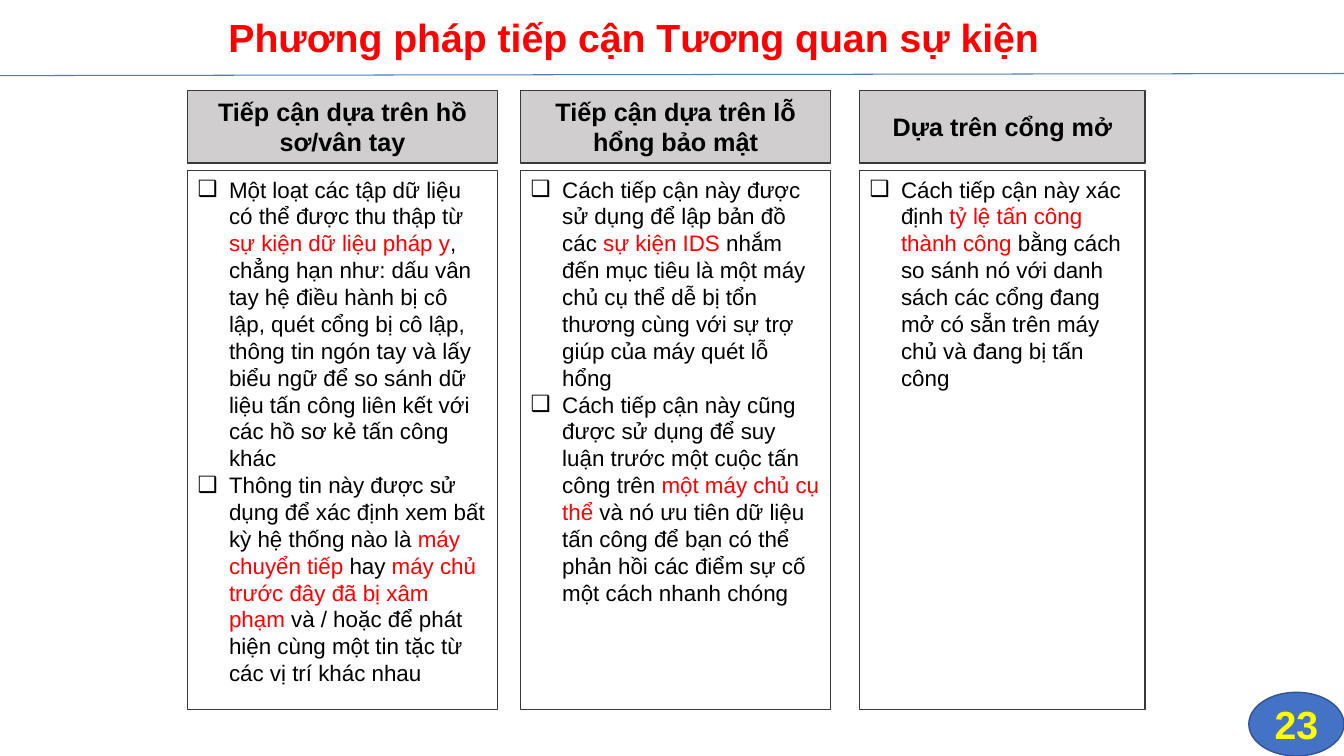
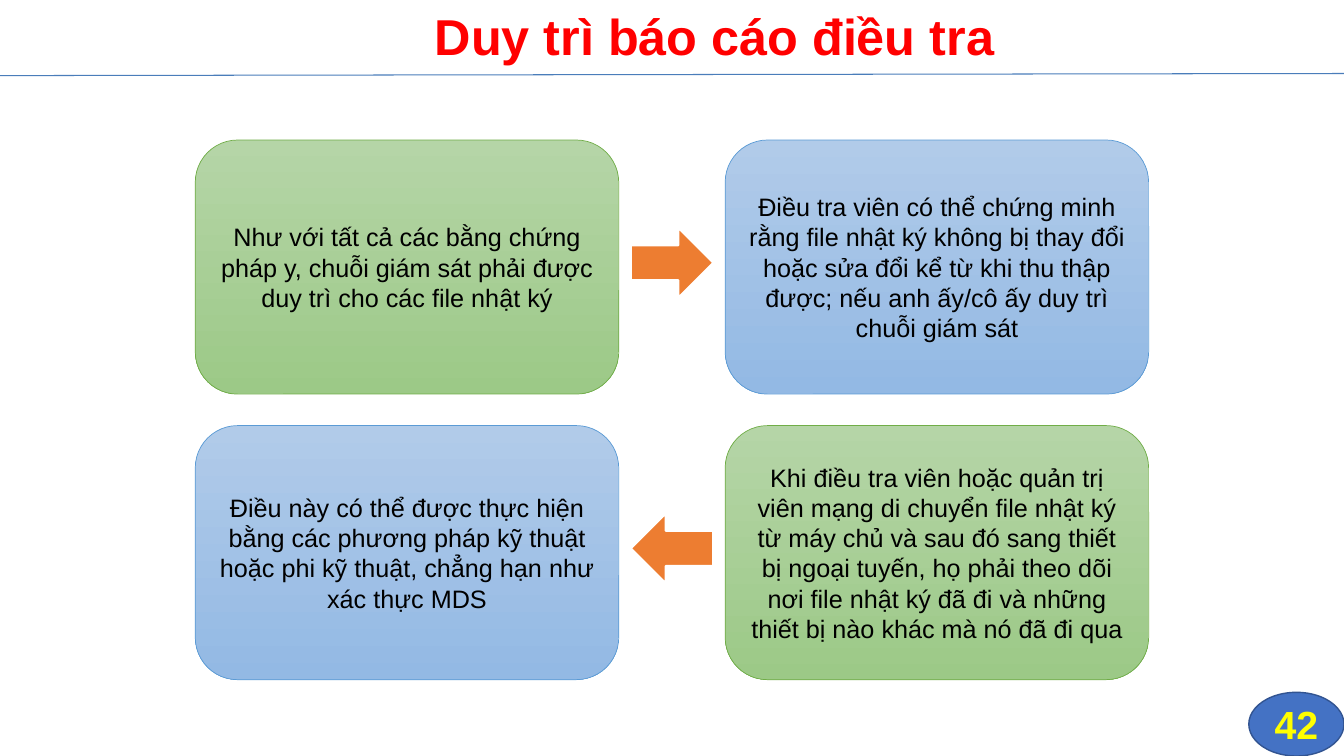
from lxml import etree
from pptx import Presentation
from pptx.dml.color import RGBColor
from pptx.enum import shapes, text
from pptx.oxml.ns import qn
from pptx.util import Pt

FONT = "Arial"
WIDTH, HEIGHT = 960, 540
COLORS = {
    "accent": "FF0000", "ink": "000000", "paper": "FFFFFF",
    "header": "D0CECE", "frame": "3B3838", "rule": "4A7DBA",
    "badge": "4472C4", "badge_edge": "325491", "badge_text": "FFFF00",
    "arrow": "ED7D31",
    "green_top": "B5D5A7", "green_bottom": "9CC987", "green_edge": "70AD47",
    "blue_top": "B1CBE9", "blue_bottom": "93B9E4", "blue_edge": "5B9BD5",
}
SHAPE = shapes.MSO_SHAPE
ALIGN = text.PP_ALIGN
ANCHOR = text.MSO_ANCHOR


def color(name):
    return RGBColor.from_string(COLORS[name])


def add_run(paragraph, words, size, tint="ink", bold=False):
    run = paragraph.add_run()
    run.text = words
    run.font.name, run.font.size, run.font.bold = FONT, Pt(size), bold
    run.font.color.rgb = color(tint)


def add_box(slide, kind, box, fill, edge, weight=1):
    """Flat shape; a pair of fill names makes a top-to-bottom gradient."""
    shape = slide.shapes.add_shape(kind, *map(Pt, box))
    shape.shadow.inherit = False
    if isinstance(fill, tuple):
        shape.fill.gradient()
        shape.fill.gradient_angle = 270
        for stop, position, tint in zip(shape.fill.gradient_stops, (0, 1), fill):
            stop.position, stop.color.rgb = position, color(tint)
    else:
        shape.fill.solid()
        shape.fill.fore_color.rgb = color(fill)
    shape.line.color.rgb = color(edge)
    shape.line.width = Pt(weight)
    return shape


def add_label(shape, words, size, tint="ink", bold=False):
    frame = shape.text_frame
    frame.word_wrap = True
    frame.vertical_anchor = ANCHOR.MIDDLE
    frame.paragraphs[0].alignment = ALIGN.CENTER
    add_run(frame.paragraphs[0], words, size, tint, bold)


def add_bullet(paragraph, indent=22.5):
    props = paragraph._p.get_or_add_pPr()
    props.set("marL", str(Pt(indent)))
    props.set("indent", str(-Pt(indent)))
    etree.SubElement(props, qn("a:buFont")).set("typeface", FONT)
    etree.SubElement(props, qn("a:buChar")).set("char", "❑")


# Title, rule and page badge shared by the slides
def add_page(deck, heading, size, left, align, number):
    slide = deck.slides.add_slide(deck.slide_layouts[5])
    title = slide.shapes.title
    title.left, title.top, title.width, title.height = map(Pt, (left, 0.5, 648, 55.5))
    frame = title.text_frame
    frame.auto_size = text.MSO_AUTO_SIZE.NONE
    frame.word_wrap = True
    frame.vertical_anchor = ANCHOR.MIDDLE
    frame.paragraphs[0].alignment = align
    frame.paragraphs[0].line_spacing = 0.9
    add_run(frame.paragraphs[0], heading, size, "accent", True)

    rule = slide.shapes.add_connector(
        shapes.MSO_CONNECTOR.STRAIGHT, 0, Pt(54), Pt(WIDTH), Pt(52.5))
    rule.line.color.rgb = color("rule")
    rule.line.width = Pt(0.75)
    etree.SubElement(rule._element.spPr, qn("a:effectLst"))

    badge = add_box(slide, SHAPE.OVAL, (WIDTH - 68, HEIGHT - 45.5, 68, 45.5),
                    "badge", "badge_edge")
    add_label(badge, number, 28, "badge_text", True)
    return slide


# Column: grey header above a framed bullet list
def add_column(slide, box, heading, bullets):
    left, top, width, height = box
    header_height, gap = 52, 5.5
    header = add_box(slide, SHAPE.RECTANGLE, (left, top, width, header_height),
                     "header", "frame")
    add_label(header, heading, 18, bold=True)

    list_top = header_height + gap
    panel = add_box(slide, SHAPE.RECTANGLE,
                    (left, top + list_top, width, height - list_top),
                    "paper", "frame")
    frame = panel.text_frame
    frame.word_wrap = True
    frame.vertical_anchor = ANCHOR.TOP
    for index, pieces in enumerate(bullets):
        paragraph = frame.add_paragraph() if index else frame.paragraphs[0]
        paragraph.alignment = ALIGN.LEFT
        add_bullet(paragraph)
        # Pieces alternate between plain and highlighted words
        for order, words in enumerate(pieces):
            add_run(paragraph, words, 16, "accent" if order % 2 else "ink")


# Cycle: two rows of cards, the top arrow forward, the bottom one back
def add_cycle(slide, box, rows):
    left, top, width, height = box
    card_width, card_height = 302.5, 181.5
    arrow_width, arrow_height = 59, 50
    for row, cards in enumerate(rows):
        y = top + row * (height - card_height)
        for col, words in enumerate(cards):
            hue = "blue" if (row + col) % 2 else "green"
            card = add_box(
                slide, SHAPE.ROUNDED_RECTANGLE,
                (left + col * (width - card_width), y, card_width, card_height),
                (hue + "_top", hue + "_bottom"), hue + "_edge", 0.5)
            add_label(card, words, 18)
        add_box(slide, SHAPE.LEFT_ARROW if row else SHAPE.RIGHT_ARROW,
                (left + (width - arrow_width) / 2, y + (card_height - arrow_height) / 2 - 3,
                 arrow_width, arrow_height),
                "arrow", "paper", 1.5)


COLUMNS = [
    ((134, 64.5, 221.25, 442.5), "Tiếp cận dựa trên hồ sơ/vân tay", [
        ("Một loạt các tập dữ liệu có thể được thu thập từ ",
         "sự kiện dữ liệu pháp y",
         ", chẳng hạn như: dấu vân tay hệ điều hành bị cô lập, quét cổng bị cô lập, "
         "thông tin ngón tay và lấy biểu ngữ để so sánh dữ liệu tấn công liên kết "
         "với các hồ sơ kẻ tấn công khác"),
        ("Thông tin này được sử dụng để xác định xem bất kỳ hệ thống nào là ",
         "máy chuyển tiếp ", "hay ", "máy chủ trước đây đã bị xâm phạm ",
         "và / hoặc để phát hiện cùng một tin tặc từ các vị trí khác nhau"),
    ]),
    ((372, 64.5, 221.25, 442.5), "Tiếp cận dựa trên lỗ hổng bảo mật", [
        ("Cách tiếp cận này được sử dụng để lập bản đồ các ", "sự kiện IDS ",
         "nhắm đến mục tiêu là một máy chủ cụ thể dễ bị tổn thương cùng với sự trợ "
         "giúp của máy quét lỗ hổng"),
        ("Cách tiếp cận này cũng được sử dụng để suy luận trước một cuộc tấn công trên ",
         "một máy chủ cụ thể",
         " và nó ưu tiên dữ liệu tấn công để bạn có thể phản hồi các điểm sự cố "
         "một cách nhanh chóng"),
    ]),
    ((614, 64.5, 204, 442.5), "Dựa trên cổng mở", [
        ("Cách tiếp cận này xác định ", "tỷ lệ tấn công thành công ",
         "bằng cách so sánh nó với danh sách các cổng đang mở có sẵn trên máy chủ "
         "và đang bị tấn công"),
    ]),
]

CUSTODY = [
    ("Như với tất cả các bằng chứng pháp y, chuỗi giám sát phải được duy trì cho "
     "các file nhật ký",
     "Điều tra viên có thể chứng minh rằng file nhật ký không bị thay đổi hoặc sửa "
     "đổi kể từ khi thu thập được; nếu anh ấy/cô ấy duy trì chuỗi giám sát"),
    ("Điều này có thể được thực hiện bằng các phương pháp kỹ thuật hoặc phi kỹ thuật, "
     "chẳng hạn như xác thực MDS",
     "Khi điều tra viên hoặc quản trị viên mạng di chuyển file nhật ký từ máy chủ và "
     "sau đó sang thiết bị ngoại tuyến, họ phải theo dõi nơi file nhật ký đã đi và "
     "những thiết bị nào khác mà nó đã đi qua"),
]


def main():
    deck = Presentation()
    deck.slide_width, deck.slide_height = Pt(WIDTH), Pt(HEIGHT)

    approaches = add_page(deck, "Phương pháp tiếp cận Tương quan sự kiện",
                          28, 156, ALIGN.LEFT, "23")
    for box, heading, bullets in COLUMNS:
        add_column(approaches, box, heading, bullets)

    reports = add_page(deck, "Duy trì báo cáo điều tra", 36, 186.5, ALIGN.CENTER, "42")
    add_cycle(reports, (139.5, 100, 681, 385.5), CUSTODY)

    deck.save("out.pptx")


if __name__ == "__main__":
    main()
